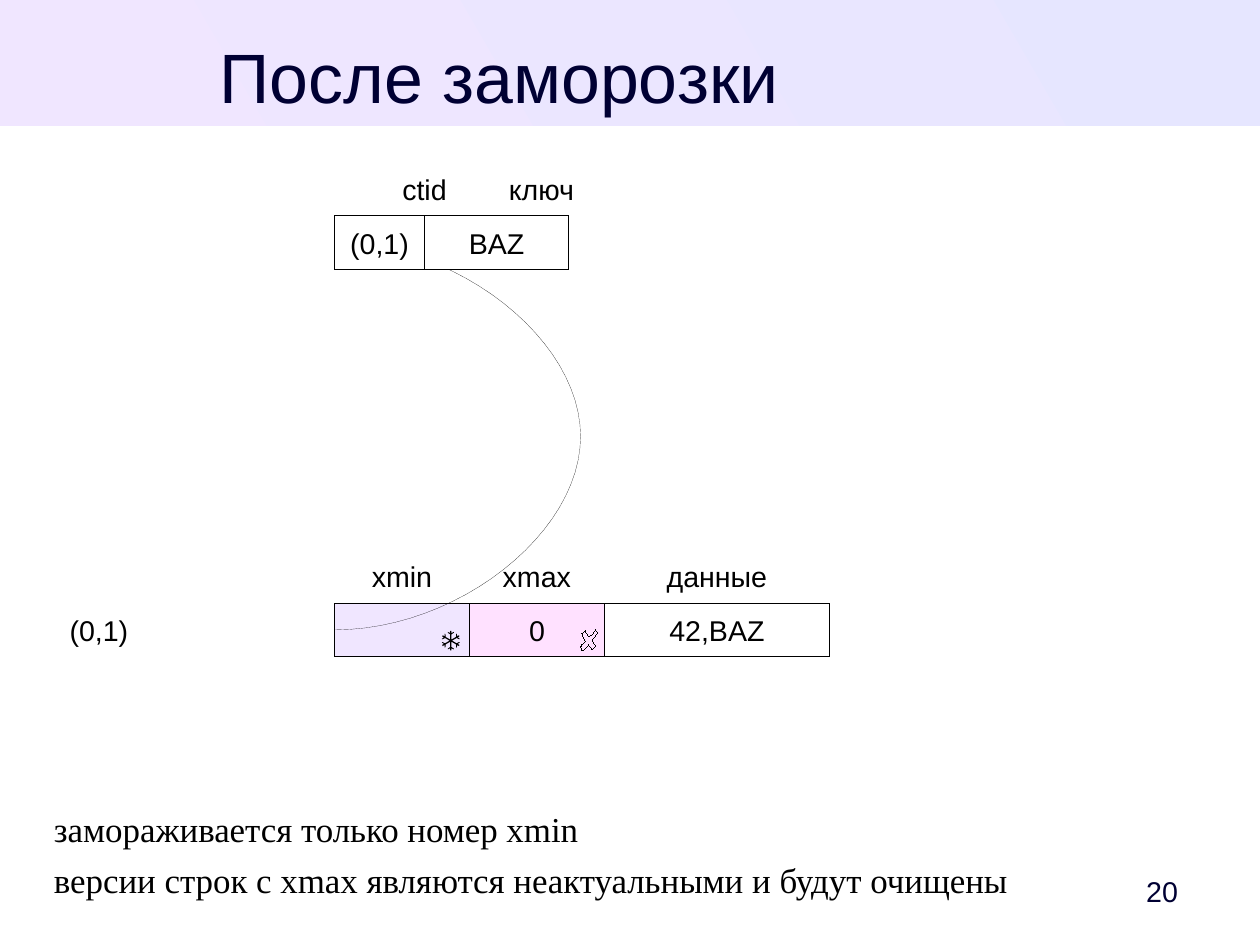
from dataclasses import dataclass
from math import cos, radians, sin

from lxml import etree
from pptx import Presentation
from pptx import util as u
from pptx.dml.color import RGBColor
from pptx.enum import shapes, text
from pptx.oxml.ns import qn

Pt = u.Pt


@dataclass(frozen=True)
class Theme:
    ink: str = "000000"
    navy: str = "000033"
    paper: str = "FFFFFF"
    lilac: str = "F0E6FF"
    blue: str = "E6E6FF"
    pink: str = "FFE1FF"
    sans: str = "Arial"
    serif: str = "Times New Roman"
    title_size: float = 44
    body_size: float = 22
    label_size: float = 18


class FreezeSlide:
    def __init__(self, deck, theme):
        self.theme = theme
        self.slide = deck.slides.add_slide(deck.slide_layouts[6])

    def paint(self, shape, fill=None, line=None):
        shape.shadow.inherit = False
        if fill:
            shape.fill.solid()
            shape.fill.fore_color.rgb = RGBColor.from_string(fill)
        else:
            shape.fill.background()
        if line:
            shape.line.color.rgb = RGBColor.from_string(line)
            shape.line._ln.set("w", "0")
        else:
            shape.line.fill.background()

    def format(self, paragraph, size, font, color, align):
        paragraph.alignment = align
        for run in paragraph.runs:
            run.font.size = Pt(size)
            run.font.name = font
            run.font.color.rgb = RGBColor.from_string(color)

    def band(self, width, height):
        header = self.slide.shapes.add_shape(
            shapes.MSO_SHAPE.RECTANGLE, 0, 0, Pt(width), Pt(height))
        self.paint(header)
        header.fill.gradient()
        header.fill.gradient_angle = 210
        for stop, color in zip(header.fill.gradient_stops,
                               (self.theme.blue, self.theme.lilac)):
            stop.color.rgb = RGBColor.from_string(color)

    def words(self, lines, at, size, font, color, align, gap=0, inset=0,
              anchor=text.MSO_ANCHOR.TOP):
        frame = self.slide.shapes.add_textbox(*map(Pt, at)).text_frame
        frame.word_wrap = True
        frame.vertical_anchor = anchor
        frame.margin_left = frame.margin_top = frame.margin_bottom = 0
        frame.margin_right = Pt(inset)
        frame.text = "\n".join(lines)
        for paragraph in frame.paragraphs:
            paragraph.space_after = Pt(gap)
            self.format(paragraph, size, font, color, align)

    def cell(self, caption, at, fill, line=None):
        box = self.slide.shapes.add_shape(
            shapes.MSO_SHAPE.RECTANGLE, *map(Pt, at))
        self.paint(box, fill, line)
        if caption:
            frame = box.text_frame
            frame.text = caption
            frame.word_wrap = False
            frame.vertical_anchor = text.MSO_ANCHOR.MIDDLE
            self.format(frame.paragraphs[0], self.theme.label_size,
                        self.theme.sans, self.theme.ink, text.PP_ALIGN.CENTER)

    def outline(self, points, fill=None, line=None, close=True):
        first, *rest = [(Pt(x), Pt(y)) for x, y in points]
        builder = self.slide.shapes.build_freeform(*first, scale=1.0)
        builder.add_line_segments(rest, close=close)
        figure = builder.convert_to_shape()
        self.paint(figure, fill, line)
        return figure

    def snowflake(self, x, y):
        half = [(0.4, 0.6), (0.4, 4), (1.9, 5), (1.9, 5.5), (0.4, 4.8), (0.4, 6.1)]
        arm = [(-a, b) for a, b in half] + half[::-1]
        points = []
        for turn in range(0, 360, 60):
            c, s = cos(radians(turn)), sin(radians(turn))
            points += [(x + a * c + b * s, y + a * s - b * c) for a, b in arm]
        self.outline(points, self.theme.ink)

    def cross(self):
        points = [(376.6, 398.2), (375.1, 396.7), (373, 399.6), (370.8, 401),
                  (368.6, 397.4), (366.5, 398.9), (368.6, 403.9), (366.5, 406.1),
                  (365.8, 407.5), (366.5, 409.7), (367.2, 409.7), (370.8, 406.1),
                  (373, 409), (375.1, 406.8), (373, 403.2)]
        self.outline(points, self.theme.pink, self.theme.ink)

    def pointer(self, x, start, end, bulge, steps=24):
        middle = (start + end) / 2
        lower = []
        for i in range(steps + 1):
            t = i / steps
            across = 1.5 * t * (1 - t) ** 2 + 3 * t ** 2 * (1 - t) + t ** 3
            along = 1.5 * t ** 2 * (1 - t) + t ** 3
            lower.append((x + bulge * across, start + (middle - start) * along))
        upper = [(px, 2 * middle - py) for px, py in lower[-2::-1]]
        curve = self.outline(lower + upper, line=self.theme.ink, close=False)
        etree.SubElement(curve.line._ln, qn("a:tailEnd"), type="stealth")


def main():
    theme = Theme()
    deck = Presentation()
    width, height = 793.7, 595.28
    deck.slide_width, deck.slide_height = Pt(width), Pt(height)
    page = FreezeSlide(deck, theme)
    left, row_height, heap_top, index_top = 210.75, 34, 379.84, 136
    shift = 28.35
    align = text.PP_ALIGN

    page.band(width, 79.3)
    page.words(["20"], (698, 544, 62.3, 34), theme.label_size, theme.sans,
               theme.navy, align.RIGHT, inset=18.3,
               anchor=text.MSO_ANCHOR.MIDDLE)
    page.words(["После заморозки"], (34, 21, 561.5, 50), theme.title_size,
               theme.sans, theme.navy, align.CENTER)

    page.cell("(0,1)", (34, heap_top, 56.7, row_height), theme.paper)
    heap = [("xmin", "", 85, theme.lilac), ("xmax", "0", 85, theme.pink),
            ("данные", "42,BAZ", 141.7, theme.paper)]
    x = left
    for heading, value, span, fill in heap:
        page.cell(heading, (x + shift / 2, heap_top - row_height, span - shift,
                            row_height), theme.paper)
        page.cell(value, (x, heap_top, span, row_height), fill, theme.ink)
        x += span
    page.cross()
    page.snowflake(284, 403.6)
    page.pointer(left, heap_top + row_height / 2, index_top + row_height / 2, 155)

    x = left
    for heading, value, span in [("ctid", "(0,1)", 56.7), ("ключ", "BAZ", 90.7)]:
        page.cell(heading, (x + shift, index_top - row_height, span, row_height),
                  theme.paper)
        page.cell(value, (x, index_top, span, row_height), theme.paper, theme.ink)
        x += span

    page.words(["замораживается только номер xmin",
                "версии строк с xmax являются неактуальными и будут очищены"],
               (34, 509, 725.7, 62), theme.body_size, theme.serif, theme.ink,
               align.LEFT, gap=5.7)
    deck.save("out.pptx")


if __name__ == "__main__":
    main()
